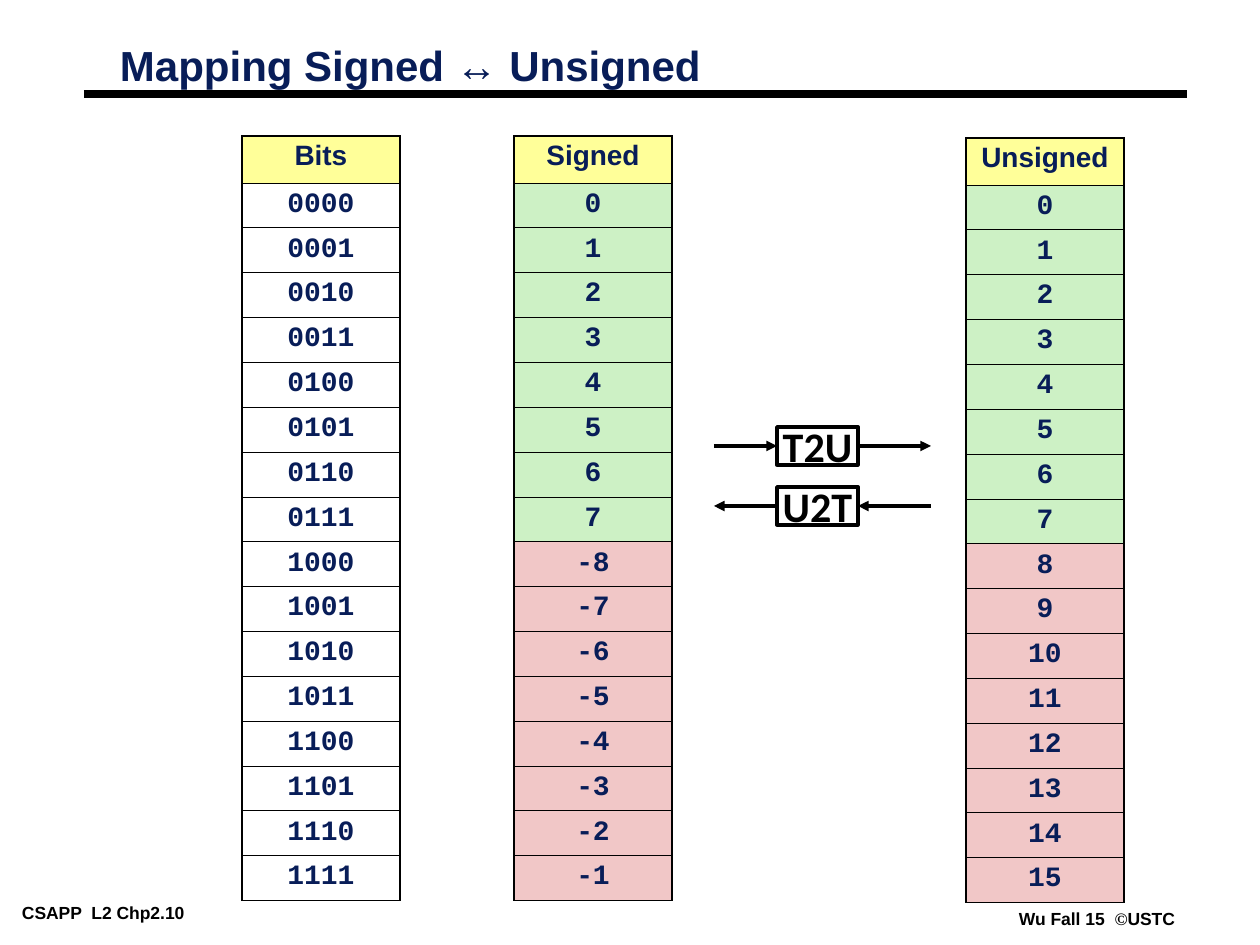
from lxml.etree import SubElement
from pptx import Presentation
from pptx.dml.color import RGBColor
from pptx.enum.shapes import MSO_CONNECTOR, MSO_SHAPE
from pptx.enum.text import MSO_ANCHOR, MSO_AUTO_SIZE, PP_ALIGN
from pptx.oxml.ns import qn
from pptx.util import Emu, Pt

PX = 914400 / 126
COLORS = {"navy": "081D58", "black": "000000", "white": "FFFFFF",
          "header": "FFFF99", "green": "CDF1C5", "red": "F1C7C7"}


def px(n):
    return Emu(round(n * PX))


def rgb(name):
    return RGBColor.from_string(COLORS[name])


prs = Presentation()
prs.slide_width, prs.slide_height = px(1260), px(945)
s = prs.slides.add_slide(prs.slide_layouts[5])

# Title and rule
title = s.shapes.title
title.left, title.top, title.width, title.height = px(111), px(42), px(600), px(50)
tf = title.text_frame
tf.text = "Mapping Signed ↔ Unsigned"
tf.auto_size = MSO_AUTO_SIZE.NONE
tf.vertical_anchor = MSO_ANCHOR.TOP
tf.margin_left = tf.margin_right = px(9)
tf.margin_top = tf.margin_bottom = px(4)
p = tf.paragraphs[0]
p.alignment = PP_ALIGN.LEFT
p.line_spacing = 0.87
f = p.runs[0].font
f.name, f.size, f.bold, f.color.rgb = "Arial", Pt(24), True, rgb("navy")

rule = s.shapes.add_connector(MSO_CONNECTOR.STRAIGHT, px(84), px(94), px(1187), px(94))
rule.line.width = Pt(4.5)
rule.line.color.rgb = rgb("black")
SubElement(rule._element.spPr, qn("a:effectLst"))

# Footers
footers = [(13, 898, 246, [("CSAPP  L2 Chp2.10", "Arial")]),
           (1010, 904, 174, [("Wu Fall 15  ", "Arial"), ("©", "Times New Roman"),
                             ("USTC", "Arial")])]
for x, y, w, runs in footers:
    tf = s.shapes.add_textbox(px(x), px(y), px(w), px(28)).text_frame
    tf.word_wrap = False
    tf.margin_left = tf.margin_right = px(9)
    tf.margin_top = tf.margin_bottom = px(4)
    for text, font_name in runs:
        r = tf.paragraphs[0].add_run()
        r.text = text
        f = r.font
        f.name, f.size, f.bold, f.color.rgb = font_name, Pt(10), True, rgb("black")

# One-column tables: 4-bit patterns and their two readings
n = 16
columns = [
    ("Signed", 514, 136, [i if i < n // 2 else i - n for i in range(n)], ("green", "red")),
    ("Unsigned", 966, 138, range(n), ("green", "red")),
    ("Bits", 242, 136, [f"{i:04b}" for i in range(n)], None),
]
table_h, header_h = 765, 47
for heading, x, y, values, halves in columns:
    frame = s.shapes.add_table(n + 1, 1, px(x), px(y), px(158), px(table_h))
    table = frame.table
    table.first_row = table.horz_banding = False
    for i, text in enumerate([heading, *values]):
        table.rows[i].height = px(header_h if i == 0 else (table_h - header_h) / n)
        cell = table.cell(i, 0)
        cell.margin_left = cell.margin_right = px(6)
        cell.margin_top = cell.margin_bottom = px(6)
        widths = {"a:lnL": 1.08, "a:lnR": 1.08,
                  "a:lnT": 1.08 if i == 0 else 0.45,
                  "a:lnB": 1.08 if i == n else 0.45}
        for tag, width in widths.items():
            ln = SubElement(cell._tc.get_or_add_tcPr(), qn(tag), w=str(Pt(width)))
            fill = SubElement(ln, qn("a:solidFill"))
            SubElement(fill, qn("a:srgbClr"), val=COLORS["black"])
        if i == 0 or halves:
            cell.fill.solid()
            cell.fill.fore_color.rgb = rgb("header" if i == 0 else halves[i > n // 2])
        else:
            cell.fill.background()
        p = cell.text_frame.paragraphs[0]
        p.text = str(text)
        p.alignment = PP_ALIGN.CENTER
        p.line_spacing = 0.95
        f = p.runs[0].font
        f.name = "Arial" if i == 0 else "Courier New"
        f.size, f.bold, f.color.rgb = Pt(16), True, rgb("navy")

# Conversion boxes, each with an arrow in and an arrow out
box_x, box_w, box_h = 777, 81, 38
left_end, right_end = 714, 931
for label, y, rightward in [("U2T", 487, False), ("T2U", 427, True)]:
    box = s.shapes.add_shape(MSO_SHAPE.RECTANGLE, px(box_x), px(y), px(box_w), px(box_h))
    box.shadow.inherit = False
    box.fill.solid()
    box.fill.fore_color.rgb = rgb("white")
    box.line.width = Pt(2)
    box.line.color.rgb = rgb("black")
    tf = box.text_frame
    tf.text = label
    tf.word_wrap = False
    tf.vertical_anchor = MSO_ANCHOR.MIDDLE
    p = tf.paragraphs[0]
    p.alignment = PP_ALIGN.CENTER
    f = p.runs[0].font
    f.name, f.size, f.bold, f.color.rgb = "Calibri", Pt(24), True, rgb("black")

    mid = px(y + box_h / 2)
    for outer, edge, site in [(left_end, box_x, 1), (right_end, box_x + box_w, 3)]:
        inward = (site == 1) == rightward
        start, end = (outer, edge) if inward else (edge, outer)
        arrow = s.shapes.add_connector(MSO_CONNECTOR.STRAIGHT, px(start), mid, px(end), mid)
        if inward:
            arrow.end_connect(box, site)
        else:
            arrow.begin_connect(box, site)
        arrow.line.width = Pt(2)
        arrow.line.color.rgb = rgb("black")
        SubElement(arrow.line._get_or_add_ln(), qn("a:tailEnd"), type="triangle")
        SubElement(arrow._element.spPr, qn("a:effectLst"))

prs.save("out.pptx")
